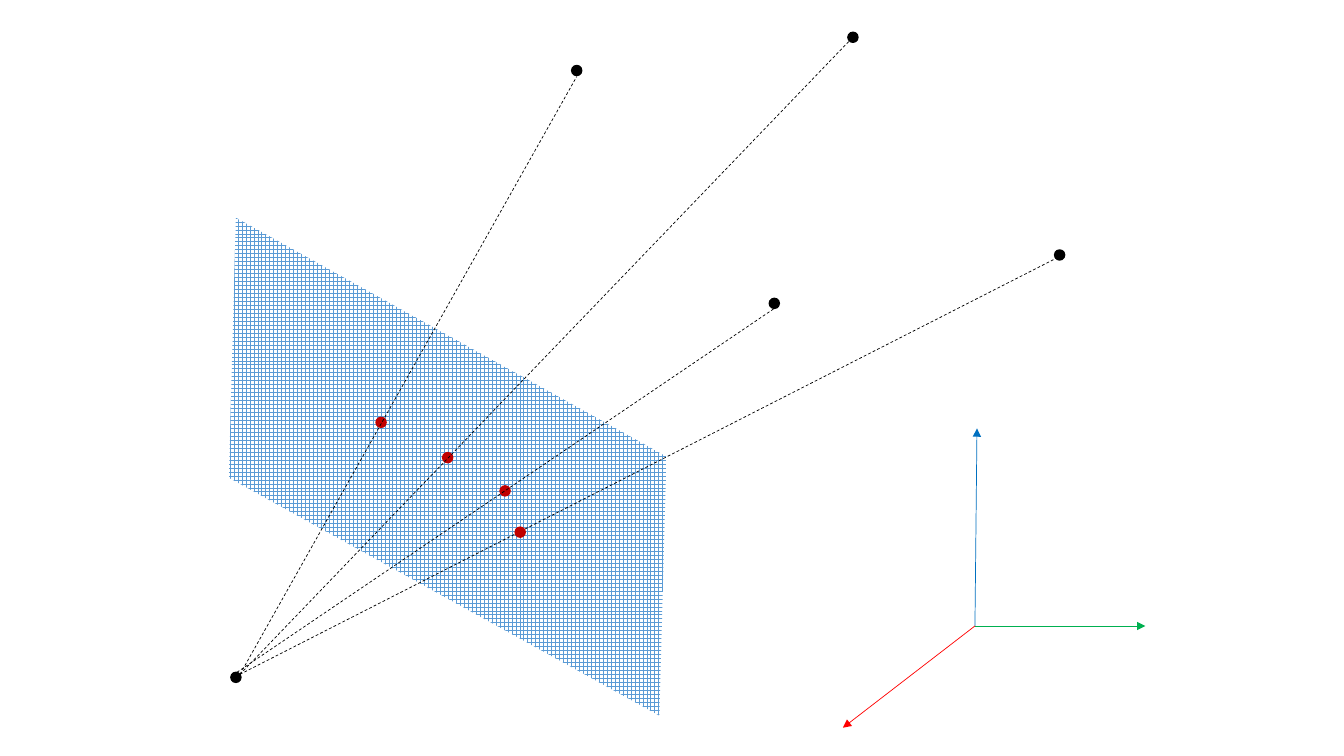
from lxml.etree import SubElement
from pptx import Presentation
from pptx.dml.color import RGBColor
from pptx.enum.dml import MSO_LINE, MSO_PATTERN
from pptx.enum.shapes import MSO_CONNECTOR, MSO_SHAPE
from pptx.oxml.ns import qn
from pptx.util import Inches, Pt

BLACK, RED, GRID = "000000", "C00000", "5B9BD5"


def rgb(color):
    return RGBColor.from_string(color)


class Diagram:
    dot_size = 0.1
    dot_line = {"width": Pt(1)}
    ray_line = {"width": Pt(0.5), "dash_style": MSO_LINE.DASH}
    axis_line = {"width": Pt(0.5)}

    def __init__(self, slide):
        self.shapes = slide.shapes

    def style_line(self, shape, color, style):
        shape.line.color.rgb = rgb(color)
        for name, value in style.items():
            setattr(shape.line, name, value)

    def plane(self, corners, color):
        points = [(Inches(x), Inches(y)) for x, y in corners]
        builder = self.shapes.build_freeform(*points[0])
        builder.add_line_segments(points[1:], close=True)
        s = builder.convert_to_shape()
        s.shadow.inherit = False
        s.fill.patterned()
        s.fill.pattern = MSO_PATTERN.LARGE_GRID
        s.fill.fore_color.rgb = rgb(color)
        s.fill.back_color.rgb = rgb("FFFFFF")
        s.line.fill.background()

    def dot(self, left, top, color):
        size = Inches(self.dot_size)
        s = self.shapes.add_shape(MSO_SHAPE.OVAL, Inches(left), Inches(top), size, size)
        s.shadow.inherit = False
        s.fill.solid()
        s.fill.fore_color.rgb = rgb(color)
        self.style_line(s, color, self.dot_line)

    def line(self, start, end, color, style, arrow=False):
        ends = [Inches(v) for v in (*start, *end)]
        s = self.shapes.add_connector(MSO_CONNECTOR.STRAIGHT, *ends)
        self.style_line(s, color, style)
        if arrow:
            SubElement(s.line._get_or_add_ln(), qn("a:tailEnd"), type="triangle")
        SubElement(s._element.spPr, qn("a:effectLst"))


prs = Presentation()
prs.slide_width, prs.slide_height = Inches(13.33), Inches(7.5)
diagram = Diagram(prs.slides.add_slide(prs.slide_layouts[6]))

# Image plane seen at an angle
diagram.plane([(2.34, 2.16), (6.61, 4.53), (6.54, 7.1), (2.27, 4.74)], GRID)

# Camera centre, scene points and their projections on the plane
camera = (2.29, 6.67)
scene_points = [(5.67, 0.65), (8.41, 0.32), (7.63, 2.96), (10.46, 2.48)]
projections = [(3.73, 4.14), (4.39, 4.49), (4.96, 4.82), (5.11, 5.23)]
for left, top in [camera, *scene_points]:
    diagram.dot(left, top, BLACK)
for left, top in projections[:3]:
    diagram.dot(left, top, RED)

# Rays from the camera to the scene points
rays = [
    ((2.38, 6.69), (5.72, 0.76)),
    ((2.38, 6.69), (8.42, 0.41)),
    ((2.35, 6.67), (7.68, 3.06)),
    ((2.38, 6.69), (10.48, 2.56)),
]
for start, end in rays:
    diagram.line(start, end, BLACK, diagram.ray_line)

# The last projection lies over its ray
diagram.dot(*projections[3], RED)

# Coordinate axes
origin = (9.67, 6.21)
axes = [((9.69, 4.25), "0070C0"), ((8.36, 7.22), "FF0000"), ((11.36, 6.21), "00B050")]
for tip, color in axes:
    diagram.line(origin, tip, color, diagram.axis_line, arrow=True)

prs.save("out.pptx")
